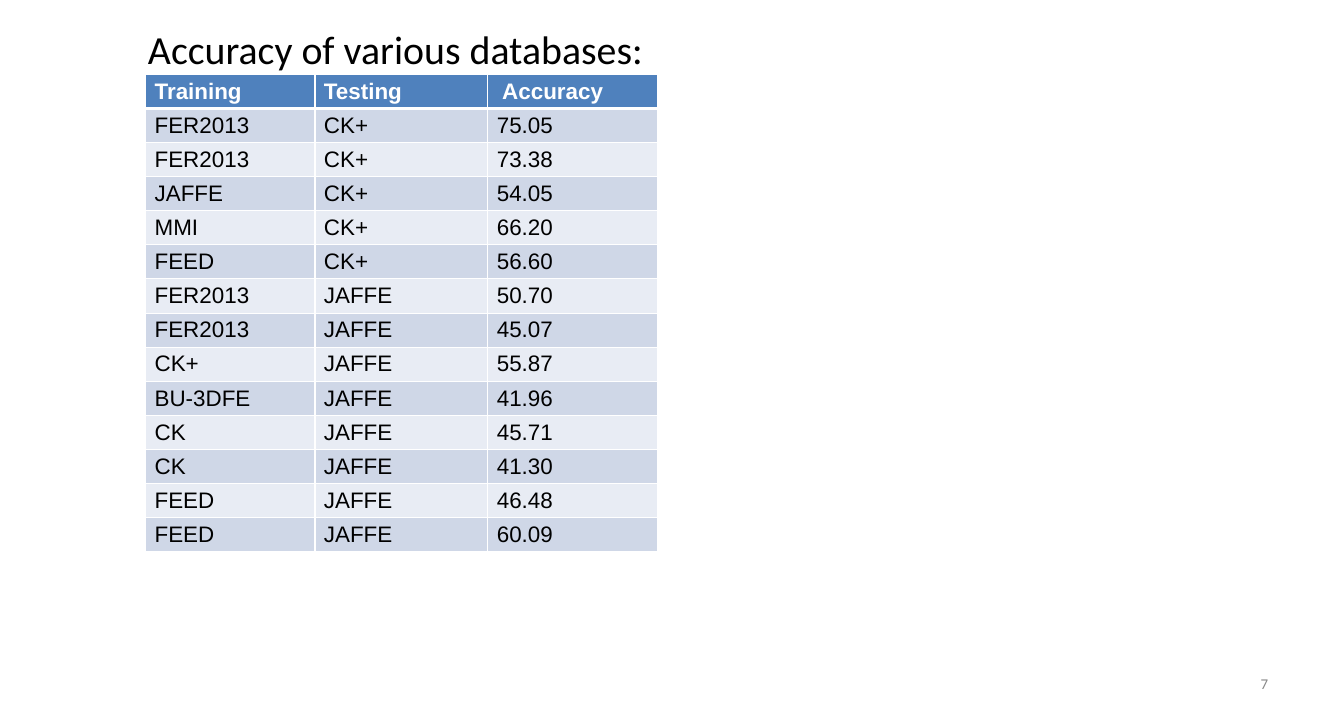
from lxml import etree
from pptx import Presentation
from pptx.dml.color import RGBColor
from pptx.enum.text import MSO_ANCHOR, MSO_AUTO_SIZE, PP_ALIGN
from pptx.oxml.ns import qn
from pptx.util import Cm, Pt

CENTER, RIGHT = PP_ALIGN.CENTER, PP_ALIGN.RIGHT
MIDDLE = MSO_ANCHOR.MIDDLE
NO_AUTOFIT = MSO_AUTO_SIZE.NONE
TITLE_ONLY = 5

BLACK = RGBColor(0x00, 0x00, 0x00)
WHITE = RGBColor(0xFF, 0xFF, 0xFF)
GRAY = RGBColor(0x88, 0x88, 0x88)
BLUE = RGBColor(0x4F, 0x81, 0xBD)
BANDS = (RGBColor(0xE8, 0xEC, 0xF4), RGBColor(0xCF, 0xD7, 0xE7))

HEADER = ("Training", "Testing", " Accuracy")
RESULTS = (
    ("FER2013", "CK+", "75.05"),
    ("FER2013", "CK+", "73.38"),
    ("JAFFE", "CK+", "54.05"),
    ("MMI", "CK+", "66.20"),
    ("FEED", "CK+", "56.60"),
    ("FER2013", "JAFFE", "50.70"),
    ("FER2013", "JAFFE", "45.07"),
    ("CK+", "JAFFE", "55.87"),
    ("BU-3DFE", "JAFFE", "41.96"),
    ("CK", "JAFFE", "45.71"),
    ("CK", "JAFFE", "41.30"),
    ("FEED", "JAFFE", "46.48"),
    ("FEED", "JAFFE", "60.09"),
)


class SlideBuilder:
    heading_font = "Calibri"
    table_font = "Arial"

    def __init__(self, prs):
        self.s = prs.slides.add_slide(prs.slide_layouts[TITLE_ONLY])

    def set_text(self, tf, text, font, size, color, bold=False, align=None):
        tf.text = text
        p = tf.paragraphs[0]
        p.alignment = align
        for r in p.runs:
            r.font.name = font
            r.font.size = Pt(size)
            r.font.bold = bold
            r.font.color.rgb = color

    def place(self, sp, left, top, width, height):
        sp.left, sp.top = Cm(left), Cm(top)
        sp.width, sp.height = Cm(width), Cm(height)
        tf = sp.text_frame
        tf.word_wrap = True
        tf.auto_size = NO_AUTOFIT
        tf.vertical_anchor = MIDDLE
        return tf

    def title(self, text, *box):
        tf = self.place(self.s.shapes.title, *box)
        self.set_text(tf, text, self.heading_font, 32, BLACK, align=CENTER)

    def page_number(self, text, *box):
        sp = self.s.shapes.add_textbox(0, 0, 0, 0)
        tf = self.place(sp, *box)
        self.set_text(tf, text, self.heading_font, 12, GRAY, align=RIGHT)

    def borders(self, cell, top=1, bottom=1):
        tcPr = cell._tc.get_or_add_tcPr()
        for side, width in (("L", 1), ("R", 1), ("T", top), ("B", bottom)):
            ln = etree.SubElement(tcPr, qn(f"a:ln{side}"), w=str(Pt(width)))
            fill = etree.SubElement(ln, qn("a:solidFill"))
            etree.SubElement(fill, qn("a:srgbClr"), val=str(WHITE))

    def table(self, rows, left, top, widths, header_height, row_height):
        height = header_height + row_height * (len(rows) - 1)
        frame = self.s.shapes.add_table(len(rows), len(widths), Cm(left), Cm(top),
                                        Cm(sum(widths)), Cm(height))
        tbl = frame.table
        for column, width in zip(tbl.columns, widths):
            column.width = Cm(width)
        for i, row in enumerate(rows):
            is_header = i == 0
            tbl.rows[i].height = Cm(header_height if is_header else row_height)
            for j, text in enumerate(row):
                cell = tbl.cell(i, j)
                self.borders(cell, top=3 if i == 1 else 1, bottom=3 if is_header else 1)
                cell.fill.solid()
                cell.fill.fore_color.rgb = BLUE if is_header else BANDS[i % 2]
                self.set_text(cell.text_frame, text, self.table_font, 18,
                              WHITE if is_header else BLACK, bold=is_header)


def main():
    prs = Presentation()
    prs.slide_width, prs.slide_height = Cm(38.1), Cm(20.32)
    slide = SlideBuilder(prs)
    slide.title("Accuracy of various databases:", 0.64, 0.84, 21.16, 1.07)
    slide.table((HEADER,) + RESULTS, 4.13, 2.11, (4.8, 4.9, 4.8), 0.76, 0.58)
    slide.page_number("7", 27.31, 18.82, 8.89, 1.09)
    prs.save("out.pptx")


if __name__ == "__main__":
    main()
